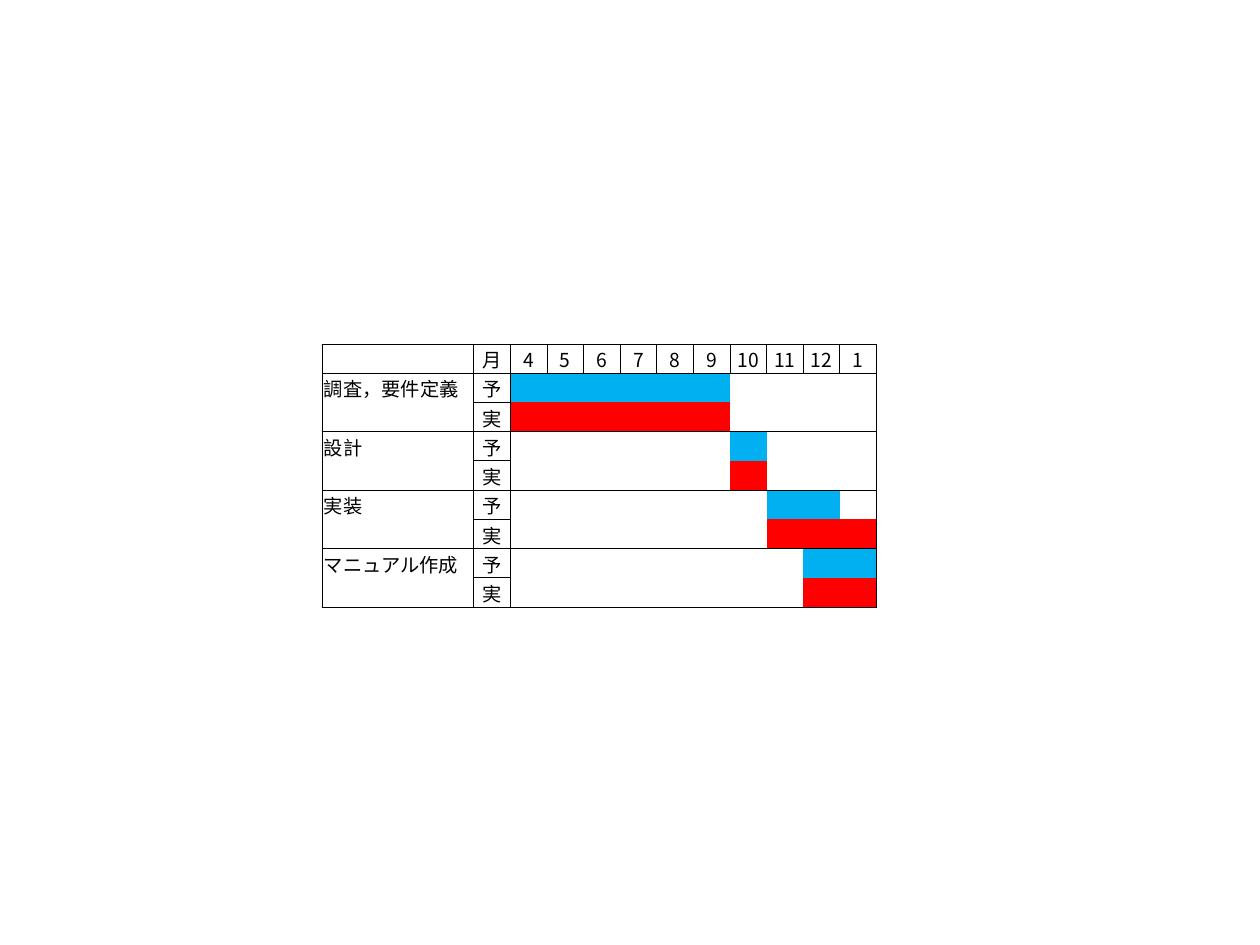
"""Build a one-slide schedule table of planned and actual months per task."""
from lxml import etree
from pptx import Presentation
from pptx.dml.color import RGBColor
from pptx.enum import text
from pptx.oxml import ns
from pptx.util import Inches, Pt

MONTHS = ["4", "5", "6", "7", "8", "9", "10", "11", "12", "1"]
TASKS = [
    ("調査，要件定義", ("4", "9"), ("4", "9")),
    ("設計", ("10", "10"), ("10", "10")),
    ("実装", ("11", "12"), ("11", "1")),
    ("マニュアル作成", ("12", "1"), ("12", "1")),
]
PHASES = ["予", "実"]

BLACK = RGBColor(0x00, 0x00, 0x00)
BLUE = RGBColor(0x00, 0xB0, 0xF0)
RED = RGBColor(0xFF, 0x00, 0x00)
BAR_COLORS = [BLUE, RED]
FONT = "Noto Sans CJK JP"
SIZE = 11
NO_STYLE = "{2D5ABB26-0587-4C30-8999-92F81FD0307C}"

LEFT, TOP, WIDTH, HEIGHT = 2.56, 2.73, 4.4, 1.74
NAME_WIDTH = 1.2
CELL_FORMAT = {
    "margin_left": Inches(0.01),
    "margin_top": Inches(0.01),
    "margin_right": Inches(0.01),
    "margin_bottom": 0,
    "vertical_anchor": text.MSO_ANCHOR.MIDDLE,
}
FONT_FORMAT = {"name": FONT, "size": Pt(SIZE)}


def sub(parent, tag, **attrs):
    """Add a child element in the drawing namespace."""
    return etree.SubElement(parent, ns.qn(tag), attrs)


def set_borders(cell, sides):
    """Draw the listed sides of a cell and clear the others."""
    tc_pr = cell._tc.get_or_add_tcPr()
    for side in "LRTB":
        ln = sub(tc_pr, f"a:ln{side}", w=str(Pt(0.5)))
        if side in sides:
            sub(sub(ln, "a:solidFill"), "a:srgbClr", val=str(BLACK))
        else:
            sub(ln, "a:noFill")


def fill_cell(cell, words="", sides="LRTB", color=None, centered=True):
    """Set the format, borders, fill and words of a cell."""
    for name, value in CELL_FORMAT.items():
        setattr(cell, name, value)
    set_borders(cell, sides)
    if color is None:
        cell.fill.background()
    else:
        cell.fill.solid()
        cell.fill.fore_color.rgb = color
    p = cell.text_frame.paragraphs[0]
    if not words:
        sub(p._p, "a:endParaRPr", sz=str(SIZE * 100))
        return
    p.alignment = text.PP_ALIGN.CENTER if centered else text.PP_ALIGN.LEFT
    r = p.add_run()
    r.text = words
    for name, value in FONT_FORMAT.items():
        setattr(r.font, name, value)
    r.font.color.rgb = BLACK
    sub(r._r.get_or_add_rPr(), "a:ea", typeface=FONT)


def add_schedule(s):
    """Add the table with its header and two rows for each task."""
    rows, cols = 1 + len(PHASES) * len(TASKS), 2 + len(MONTHS)
    box = [Inches(n) for n in (LEFT, TOP, WIDTH, HEIGHT)]
    table = s.shapes.add_table(rows, cols, *box).table
    table.first_row = table.horz_banding = False
    table._tbl.tblPr.find(ns.qn("a:tableStyleId")).text = NO_STYLE
    month_width = (WIDTH - NAME_WIDTH) / (cols - 1)
    for c, column in enumerate(table.columns):
        column.width = Inches(month_width if c else NAME_WIDTH)

    for c, words in enumerate(["", "月"] + MONTHS):
        fill_cell(table.cell(0, c), words)
    for t, (task, *spans) in enumerate(TASKS):
        for i, (start, end) in enumerate(spans):
            row = 1 + len(PHASES) * t + i
            edge = "TB"[i]
            fill_cell(table.cell(row, 0), "" if i else task, "LR" + edge, centered=False)
            fill_cell(table.cell(row, 1), PHASES[i])
            first, last = MONTHS.index(start), MONTHS.index(end)
            for m in range(len(MONTHS)):
                sides = edge + ("L" if m == 0 else "") + ("R" if m == len(MONTHS) - 1 else "")
                color = BAR_COLORS[i] if first <= m <= last else None
                fill_cell(table.cell(row, 2 + m), sides=sides, color=color)


def main():
    """Create and save the presentation."""
    prs = Presentation()
    prs.slide_width, prs.slide_height = Inches(10), Inches(7.5)
    add_schedule(prs.slides.add_slide(prs.slide_layouts[6]))
    prs.save("out.pptx")


if __name__ == "__main__":
    main()
